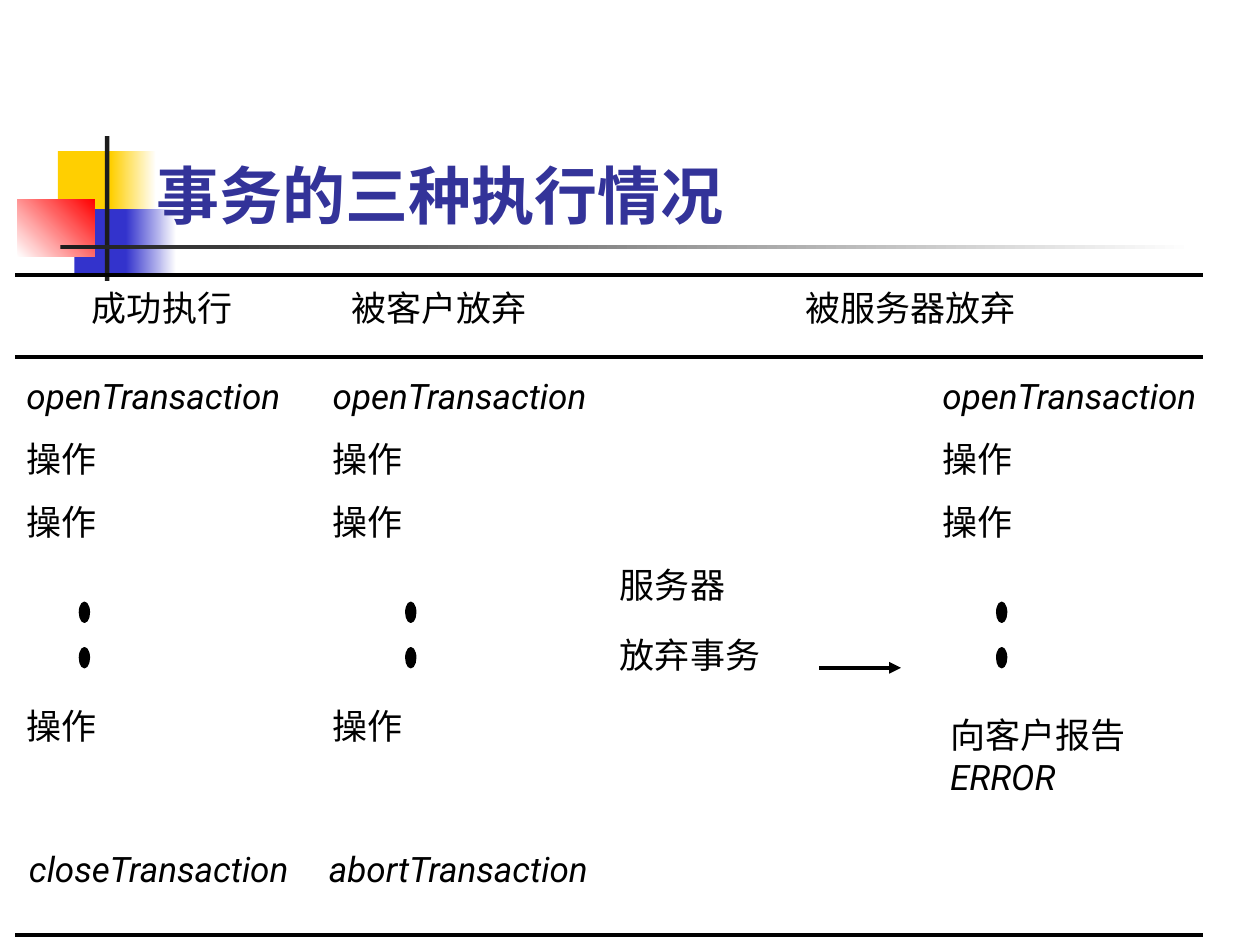
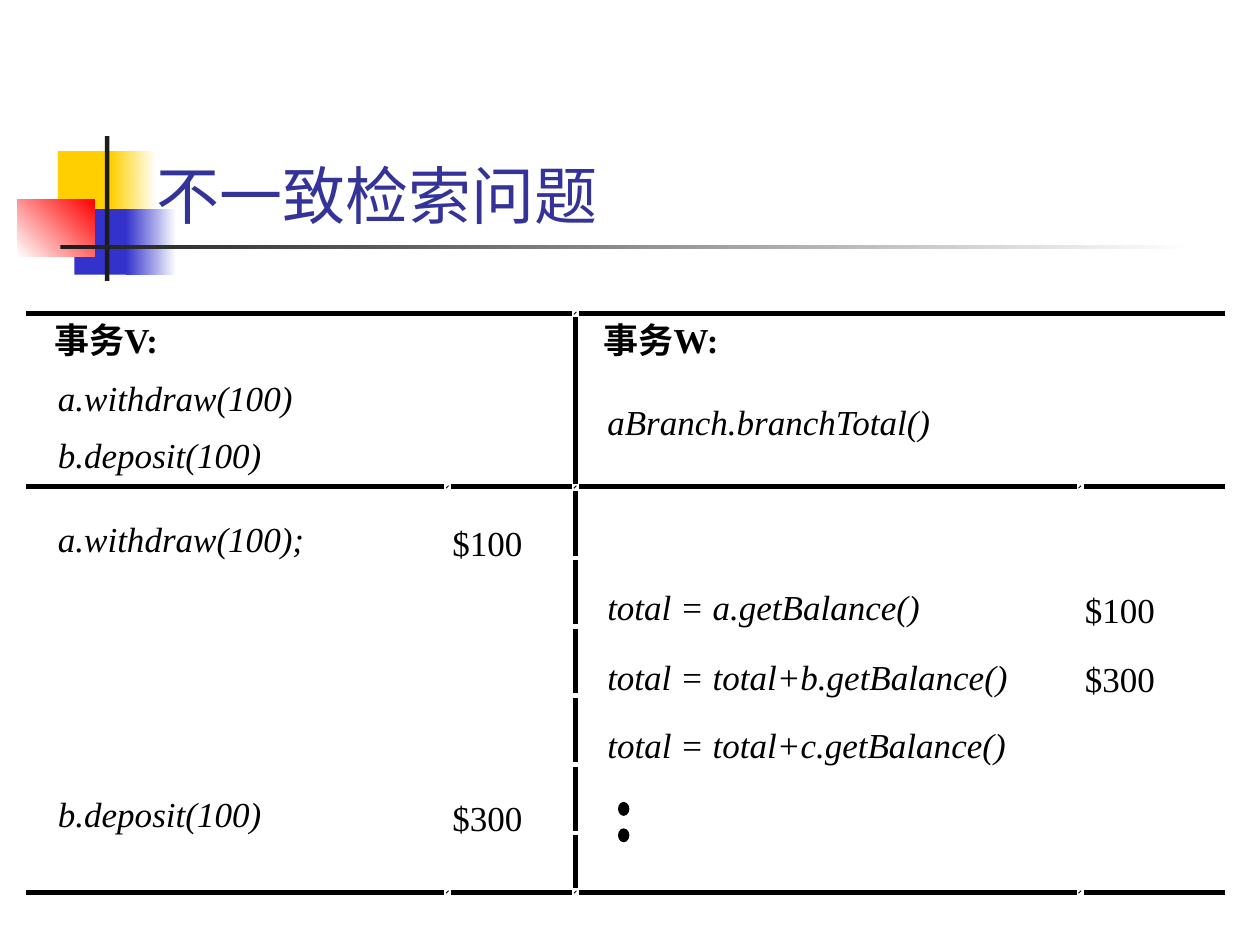
from lxml.etree import SubElement
from pptx import Presentation
from pptx.dml.color import RGBColor
from pptx.enum.shapes import MSO_CONNECTOR, MSO_SHAPE
from pptx.enum.text import MSO_ANCHOR, MSO_AUTO_SIZE
from pptx.oxml.ns import qn
from pptx.util import Pt

presentation = Presentation()
presentation.slide_width, presentation.slide_height = 9144000, 6858000
# Every length counts cells of a grid of 100 columns by 75 rows
CELL = presentation.slide_width / 100


def cells(*lengths):
    return [round(length * CELL) for length in lengths]


def paint(target, *colours, angle=0):
    """Give a fill one colour, or a gradient between two."""
    if len(colours) == 1:
        target.solid()
        target.fore_color.rgb = RGBColor.from_string(colours[0])
    else:
        target.gradient()
        target.gradient_angle = angle
        for stop, colour in zip(target.gradient_stops, colours):
            stop.color.rgb = RGBColor.from_string(colour)


# Shared look
BLACK, WHITE, TITLE = "000000", "FFFFFF", "333399"
YELLOW, BLUE, RED, GREY = "FFCF01", "3333CC", "FF0000", "1C1C1C"
CJK = "Noto Sans CJK JP"
SERIF = "Times New Roman"
STYLES = {  # font, size, colour, bold, italic
    "bold title": (CJK, 36, TITLE, True, False),
    "title": ("Karla", 36, TITLE, False, False),
    "plain": ("Roboto", 20, BLACK, False, False),
    "code": ("Roboto", 20, BLACK, False, True),
    "serif": (SERIF, 20, BLACK, False, False),
    "serif bold": (SERIF, 20, BLACK, True, False),
    "serif code": (SERIF, 20, BLACK, False, True),
}
BAND = [  # left, top, width, height, colours, angle
    (4.6, 12, 4.8, 5.2, [YELLOW], 0),
    (8.8, 12, 3.6, 5.2, [YELLOW, WHITE], 0),
    (5.9, 16.6, 4.6, 5.2, [BLUE], 0),
    (10, 16.6, 4, 5.2, [BLUE, WHITE], 0),
    (1.4, 15.8, 6.1, 4.6, [WHITE, RED], 45),
    (8.33, 10.8, 0.35, 11.5, [GREY], 0),
    (4.8, 19.45, 90, 0.35, [GREY, WHITE], 0),
]
TITLE_BOX = (11.4, 9.1, 74, 9.8)
TEXT_SLACK = 0.8  # spare width that keeps each label on one line

# Slide 1: three outcomes of a transaction
SUCCESS, CLIENT, SERVER, REPORT = 2.1, 26.4, 49.2, 74.8
outcome_texts = [  # left, top, width, then one (text, style) for each line
    (*TITLE_BOX[:3], ("事务的三种执行情况", "bold title")),
    (7.3, 22.7, 11.1, ("成功执行", "plain")),
    (27.9, 22.7, 13.9, ("被客户放弃", "plain")),
    (63.9, 22.7, 16.7, ("被服务器放弃", "plain")),
    (SERVER, 44.7, 8.4, ("服务器", "plain")),
    (SERVER, 50.3, 11.1, ("放弃事务", "plain")),
    (75.4, 56.6, 22.8, ("向客户报告", "plain"), ("ERROR", "code")),
    (2.3, 67.3, 20.7, ("closeTransaction", "code")),
    (26.1, 67.3, 21.4, ("abortTransaction", "code")),
]
for column in (SUCCESS, CLIENT, REPORT):
    outcome_texts.append((column, 29.7, 20.7, ("openTransaction", "code")))
for top, styles in (
    (34.7, ("serif", "serif", "plain")),
    (39.7, ("serif", "plain", "plain")),
    (55.9, ("serif", "plain")),
):
    for column, style in zip((SUCCESS, CLIENT, REPORT), styles):
        outcome_texts.append((column, top, 5.6, ("操作", style)))
outcome_dots = [(left, top, 0.8, 1.6) for left in (6.3, 32.2, 79.1) for top in (47.8, 51.4)]
outcome_lines = [(1.2, top, 95.5, top, 2.25, False) for top in (21.8, 28.3, 74.2)]
outcome_lines.append((65, 53, 71.5, 53, 2.25, True))

# Slide 2: inconsistent retrievals
V, V_SUM, W, W_SUM = 4.6, 35.9, 48.2, 86.1
retrieval_texts = [
    (*TITLE_BOX[:3], ("不一致检索问题", "title")),
    (4.3, 25.3, 9.9, ("事务V:", "serif bold")),
    (47.9, 25.3, 10.6, ("事务W:", "serif bold")),
    (V, 29.9, 18.6, ("a.withdraw(100)", "serif code")),
    (V, 34.4, 16.2, ("b.deposit(100)", "serif code")),
    (W, 31.8, 25.9, ("aBranch.branchTotal()", "serif code")),
    (V, 41.1, 19.6, ("a.withdraw(100);", "serif code")),
    (V_SUM, 41.4, 5.6, ("$100", "serif")),
    (W, 46.5, 24.8, ("total = a.getBalance()", "serif code")),
    (W_SUM, 46.7, 5.6, ("$100", "serif")),
    (W, 52, 31.8, ("total = total+b.getBalance()", "serif code")),
    (W_SUM, 52.2, 5.6, ("$300", "serif")),
    (W, 57.4, 31.7, ("total = total+c.getBalance()", "serif code")),
    (V, 62.9, 16.2, ("b.deposit(100)", "serif code")),
    (V_SUM, 63.2, 5.6, ("$300", "serif")),
]
retrieval_dots = [(49.1, top, 0.8, 1) for top in (63.7, 65.8)]
# Rules stop short of each column joint, which has a tiny mark of its own
DIVIDER, RULE_WIDTH, MARK_WIDTH = 45.65, 2.86, 0.5
COLUMN_JOINTS = (35.5, DIVIDER, 85.7)
retrieval_lines = []
for top, joints in ((24.85, (DIVIDER,)), (38.65, COLUMN_JOINTS), (70.8, COLUMN_JOINTS)):
    starts = [2.1] + [joint + 0.3 for joint in joints]
    ends = [joint - 0.25 for joint in joints] + [97.2]
    for left, right in zip(starts, ends):
        retrieval_lines.append((left, top, right, top, RULE_WIDTH, False))
    for joint in joints:
        mark = (joint - 0.1, top + 0.1, joint + 0.1, top - 0.1)
        retrieval_lines.append((*mark, MARK_WIDTH, False))
divider_parts = [(25.2, 38.4)]
divider_parts += [(39 + 5.46 * row, 44.1 + 5.46 * row) for row in range(5)]
divider_parts.append((66.3, 70.5))
for top, bottom in divider_parts:
    retrieval_lines.append((DIVIDER, top, DIVIDER, bottom, RULE_WIDTH, False))

# Draw both slides
for texts, dots, lines in (
    (outcome_texts, outcome_dots, outcome_lines),
    (retrieval_texts, retrieval_dots, retrieval_lines),
):
    slide = presentation.slides.add_slide(presentation.slide_layouts[6])

    # Coloured band beside the title
    for left, top, width, height, colours, angle in BAND:
        shape = slide.shapes.add_shape(MSO_SHAPE.RECTANGLE, *cells(left, top, width, height))
        shape.shadow.inherit = False
        shape.line.fill.background()
        paint(shape.fill, *colours, angle=angle)

    # Title and table texts
    for left, top, width, *runs in texts:
        is_title = "title" in runs[0][1]
        height = TITLE_BOX[3] if is_title else 3.3 * len(runs)
        shape = slide.shapes.add_textbox(*cells(left, top, width + TEXT_SLACK, height))
        frame = shape.text_frame
        frame.word_wrap = is_title
        if is_title:
            frame.vertical_anchor = MSO_ANCHOR.BOTTOM
        else:
            frame.auto_size = MSO_AUTO_SIZE.SHAPE_TO_FIT_TEXT
            frame.margin_left = frame.margin_right = 0
            frame.margin_top = frame.margin_bottom = 0
        paragraph = frame.paragraphs[0]
        for number, (text, style) in enumerate(runs):
            if number:
                paragraph.add_line_break()
            run = paragraph.add_run()
            run.text = text
            font = run.font
            font.name, size, colour, font.bold, font.italic = STYLES[style]
            font.size = Pt(size)
            paint(font.fill, colour)
            SubElement(font._element, qn("a:ea"), typeface=CJK)

    # Dots that stand for further steps
    for dot in dots:
        shape = slide.shapes.add_shape(MSO_SHAPE.OVAL, *cells(*dot))
        shape.shadow.inherit = False
        shape.line.width = Pt(0.75)
        paint(shape.fill, BLACK)
        paint(shape.line.fill, BLACK)

    # Rules and arrow
    for *ends, weight, has_arrow in lines:
        connector = slide.shapes.add_connector(MSO_CONNECTOR.STRAIGHT, *cells(*ends))
        connector.line.width = Pt(weight)
        paint(connector.line.fill, BLACK)
        if has_arrow:
            SubElement(connector.line._get_or_add_ln(), qn("a:tailEnd"), type="triangle")
        SubElement(connector._element.spPr, qn("a:effectLst"))

presentation.save("out.pptx")
